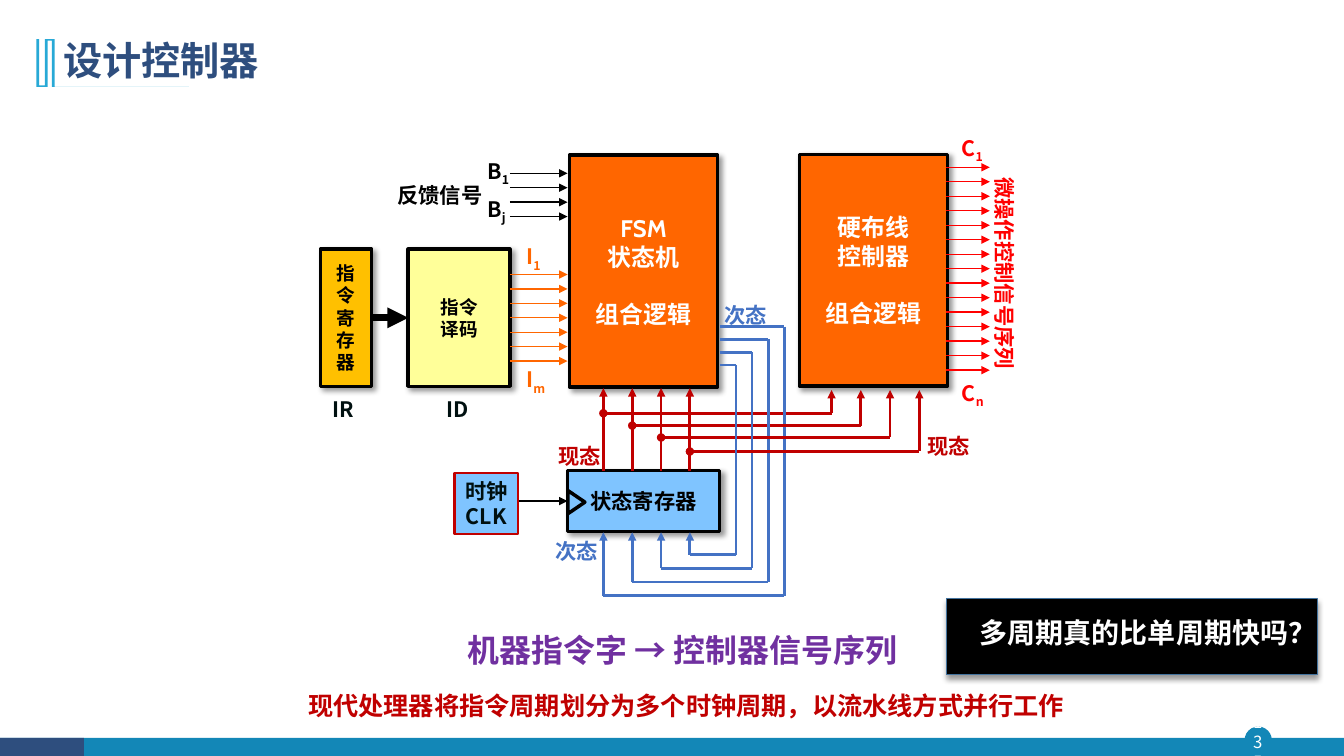
from dataclasses import dataclass

from lxml.etree import SubElement
from pptx import Presentation
from pptx.dml.color import RGBColor
from pptx.enum.shapes import MSO_CONNECTOR as Conn, MSO_SHAPE as Kind
from pptx.enum.text import MSO_ANCHOR as Anchor, PP_ALIGN as Align
from pptx.oxml.ns import qn
from pptx.util import Pt

NOTO, CABIN = "Noto Sans CJK SC", "Cabin"
RED, BLUE, SKY, ORANGE = "C00000", "4472C4", "7FC4FF", "FF6600"
TEAL, NAVY, BLACK, WHITE = "1387B7", "2E4E7E", "000000", "FFFFFF"


@dataclass
class Box:
    x: float
    y: float
    w: float
    h: float
    fill: str
    lines: tuple = ()
    size: float = 15.2
    color: str = BLACK
    edge: str = BLACK
    width: float = 2.5
    font: str = CABIN
    kind: Kind = Kind.RECTANGLE
    shade: int = 45  # shadow angle, negative for none
    lead: float = 0
    gap: float = 0  # space before the last line


@dataclass
class Label:
    text: str  # "_" starts a subscript
    x: float
    y: float
    w: float
    color: str
    size: float = 15.2
    h: float = 26
    turn: float = 0
    align: Align = Align.CENTER
    wrap: bool = False
    bold: bool = True
    lead: float = 0


@dataclass
class Wire:
    x: float
    y: float
    x2: float
    y2: float
    color: str
    width: float = 2
    head: str = ""
    tail: str = ""


def paint(fmt, color: str) -> None:
    fmt.solid()
    fmt.fore_color.rgb = RGBColor.from_string(color)


def style(para, size: float, color: str, font: str = NOTO, bold: bool = True) -> None:
    para.font.size, para.font.bold, para.font.name = Pt(size), bold, font
    paint(para.font.fill, color)
    SubElement(para._p.pPr.find(qn("a:defRPr")), qn("a:ea"), typeface=font)


def add_box(shapes, box: Box):
    shape = shapes.add_shape(box.kind, Pt(box.x), Pt(box.y), Pt(box.w), Pt(box.h))
    shape.shadow.inherit = False
    paint(shape.fill, box.fill)
    if box.width:
        paint(shape.line.fill, box.edge)
        shape.line.width = Pt(box.width)
    else:
        shape.line.fill.background()
    if box.shade >= 0:
        glow = SubElement(shape._element.spPr.find(qn("a:effectLst")), qn("a:outerShdw"),
                          blurRad=str(Pt(4)), dist=str(Pt(3)), dir=str(box.shade * 60000),
                          algn="tl", rotWithShape="0")
        tint = SubElement(glow, qn("a:srgbClr"), val=BLACK)
        SubElement(tint, qn("a:alpha"), val="40000")
    frame = shape.text_frame
    frame.word_wrap, frame.vertical_anchor = True, Anchor.MIDDLE
    for i, line in enumerate(box.lines):
        para = frame.add_paragraph() if i else frame.paragraphs[0]
        para.text, para.alignment = line, Align.CENTER
        if box.lead:
            para.line_spacing = Pt(box.lead)
        if box.gap and i == len(box.lines) - 1:
            para.space_before = Pt(box.gap)
        style(para, box.size, box.color, box.font)
    return shape


def add_label(shapes, label: Label) -> None:
    shape = shapes.add_textbox(Pt(label.x), Pt(label.y), Pt(label.w), Pt(label.h))
    shape.rotation = label.turn
    frame = shape.text_frame
    frame.margin_top = frame.margin_bottom = 0
    frame.word_wrap, frame.vertical_anchor = label.wrap, Anchor.MIDDLE
    para = frame.paragraphs[0]
    para.alignment = label.align
    if label.lead:
        para.line_spacing = label.lead
    base, _, sub = label.text.partition("_")
    para.add_run().text = base
    if sub:
        run = para.add_run()
        run.text = sub
        run._r.get_or_add_rPr().set("baseline", "-25000")
    style(para, label.size, label.color, bold=label.bold)


def add_wire(shapes, wire: Wire):
    line = shapes.add_connector(Conn.STRAIGHT, Pt(wire.x), Pt(wire.y), Pt(wire.x2), Pt(wire.y2))
    paint(line.line.fill, wire.color)
    line.line.width = Pt(wire.width)
    ends = line.line._get_or_add_ln()
    for tag, end in (("a:headEnd", wire.head), ("a:tailEnd", wire.tail)):
        if end:
            SubElement(ends, qn(tag), type=end)
    SubElement(line._element.spPr, qn("a:effectLst"))
    return line


def add_frame(slide) -> None:
    """Footer bar, title mark and title."""
    shapes = slide.shapes
    for x, y, w, h, fill, kind in (
        (889, 519, 19.5, 19.5, TEAL, Kind.OVAL),
        (0, 527, 960, 13, TEAL, Kind.RECTANGLE),
        (0, 527, 60, 13, NAVY, Kind.RECTANGLE),
    ):
        add_box(shapes, Box(x, y, w, h, fill, width=0, kind=kind, shade=-1))
    add_label(shapes, Label("135", 887, 519, 23, WHITE, 12, 22, bold=False))
    pen = shapes.build_freeform(38.6, 28, scale=Pt(1))
    pen.add_line_segments([
        (38.6, 61.5), (135, 61.5), (135, 62.5), (37.4, 62.5), (37.4, 29.3), (34, 29.3),
        (34, 62.5), (26, 62.5), (26, 28), (28, 28), (28, 60.8), (31.8, 60.8), (31.8, 28)])
    mark = pen.convert_to_shape()
    mark.shadow.inherit = False
    paint(mark.fill, "28A9D6")
    mark.line.fill.background()
    title = shapes.title
    title.left, title.top, title.width, title.height = Pt(38), Pt(20), Pt(828), Pt(49)
    title.text_frame.text = "设计控制器"
    title.text_frame.vertical_anchor = Anchor.MIDDLE
    para = title.text_frame.paragraphs[0]
    para.alignment, para.line_spacing = Align.LEFT, 0.9
    style(para, 28, NAVY)


def add_flow(shapes) -> None:
    """Blocks and the wires between them."""
    ir = add_box(shapes, Box(229, 178, 36.5, 98, "FFC000", ("指令寄存器",), 13.3))
    dec = add_box(shapes, Box(291.6, 178, 72.7, 98, "FFFF99", ("指令", "译码"), 13.3))
    reg = add_box(shapes, Box(405.4, 336.2, 108.7, 43.4, SKY, ("状态寄存器",)))
    for x, y, name in ((406.8, 110.9, ("FSM", "状态机")), (571, 110.2, ("硬布线", "控制器"))):
        add_box(shapes, Box(x, y, 105.8, 165.6, ORANGE, (*name, "组合逻辑"), 17.1, WHITE, gap=20.4))
    fat = add_wire(shapes, Wire(265.5, 227, 291.6, 227, BLACK, 5, tail="triangle"))
    fat.begin_connect(ir, 3)
    fat.end_connect(dec, 1)
    tick = add_wire(shapes, Wire(362, 357.9, 405.4, 357.9, BLACK, tail="triangle"))
    tick.end_connect(reg, 1)
    add_box(shapes, Box(324.7, 337.7, 45.4, 44, SKY, ("时钟", "CLK"), color="001010", edge=RED,
                        width=1.5, font=NOTO, shade=-1, lead=18))
    cue = add_box(shapes, Box(403.4, 352.6, 16.6, 12.2, SKY, kind=Kind.ISOSCELES_TRIANGLE, shade=-1))
    cue.rotation = 90

    # Signal bundles: start, end, first height, step, count
    for x, x2, y, step, count, color in (
        (364.3, 405.4, 196.1, 10.3, 7, ORANGE),
        (676, 707, 119.5, 10.35, 15, "FF0000"),
        (364.3, 405.4, 123.8, 10.3, 4, BLACK),
    ):
        for i in range(count):
            level = y + i * step
            line = add_wire(shapes, Wire(x, level, x2, level, color, 1, tail="triangle"))
            if color == ORANGE and i == count // 2:
                line.begin_connect(dec, 3)

    # Present state goes up and right; next state loops back below
    for i, bus in enumerate((295.2, 304, 312.5, 322.5)):
        x, far = 431 + 20.6 * i, 594 + 20.9 * i
        out, low, side = 233.4 + 9.1 * i, 425.5 - 9.8 * i, 560.2 - 11.5 * i
        for wire in (
            Wire(x, 336.2, x, 277.2, RED, tail="triangle"),
            Wire(x, bus, far, bus, RED, head="oval"),
            Wire(far, bus, far, 278.6, RED, tail="triangle"),
            Wire(514, out, side, out, BLUE),
            Wire(side, out, side, low, BLUE),
            Wire(x, low, side, low, BLUE),
            Wire(x, low, x, 380.2, BLUE, tail="triangle"),
        ):
            add_wire(shapes, wire)


def add_notes(shapes) -> None:
    """Signal names and the closing statements."""
    add_box(shapes, Box(676, 427.7, 265, 54, BLACK, edge="43739E", width=1, shade=90))
    for label in (
        Label("IR", 228, 279.4, 34, "001010"),
        Label("ID", 310, 279.4, 34, "001010"),
        Label("反馈信号", 276.5, 126, 75.6, BLACK),
        Label("B_1", 340, 110.2, 31.7, BLACK),
        Label("B_j", 340.6, 137.5, 28, BLACK),
        Label("I_1", 368, 171.4, 26, ORANGE),
        Label("I_m", 368, 259.2, 29.5, ORANGE),
        Label("C_1", 679, 93.6, 31, "FF0000"),
        Label("C_n", 679, 268.6, 31.7, "FF0000"),
        Label("微操作控制信号序列", 642.2, 182.2, 152, "FF0000", turn=90),
        Label("现态", 652.3, 305.3, 50.4, RED),
        Label("现态", 388.8, 312.5, 50.4, RED),
        Label("次态", 507.6, 211.7, 50.4, BLUE),
        Label("次态", 386.6, 380.9, 50.4, BLUE),
        Label("机器指令字 → 控制器信号序列", 327, 434, 325.4, "7030A0", 22.8, 49,
              align=Align.LEFT, lead=1.4),
        Label("多周期真的比单周期快吗？", 684.7, 436, 250.6, WHITE, 20, 31, wrap=True),
        Label("现代处理器将指令周期划分为多个时钟周期，以流水线方式并行工作", 213, 489, 558.7, RED,
              18, 29, align=Align.LEFT, wrap=True),
    ):
        add_label(shapes, label)


def main() -> None:
    deck = Presentation()
    deck.slide_width, deck.slide_height = Pt(960), Pt(540)
    slide = deck.slides.add_slide(deck.slide_layouts[5])
    add_frame(slide)
    add_flow(slide.shapes)
    add_notes(slide.shapes)
    deck.save("out.pptx")


if __name__ == "__main__":
    main()
